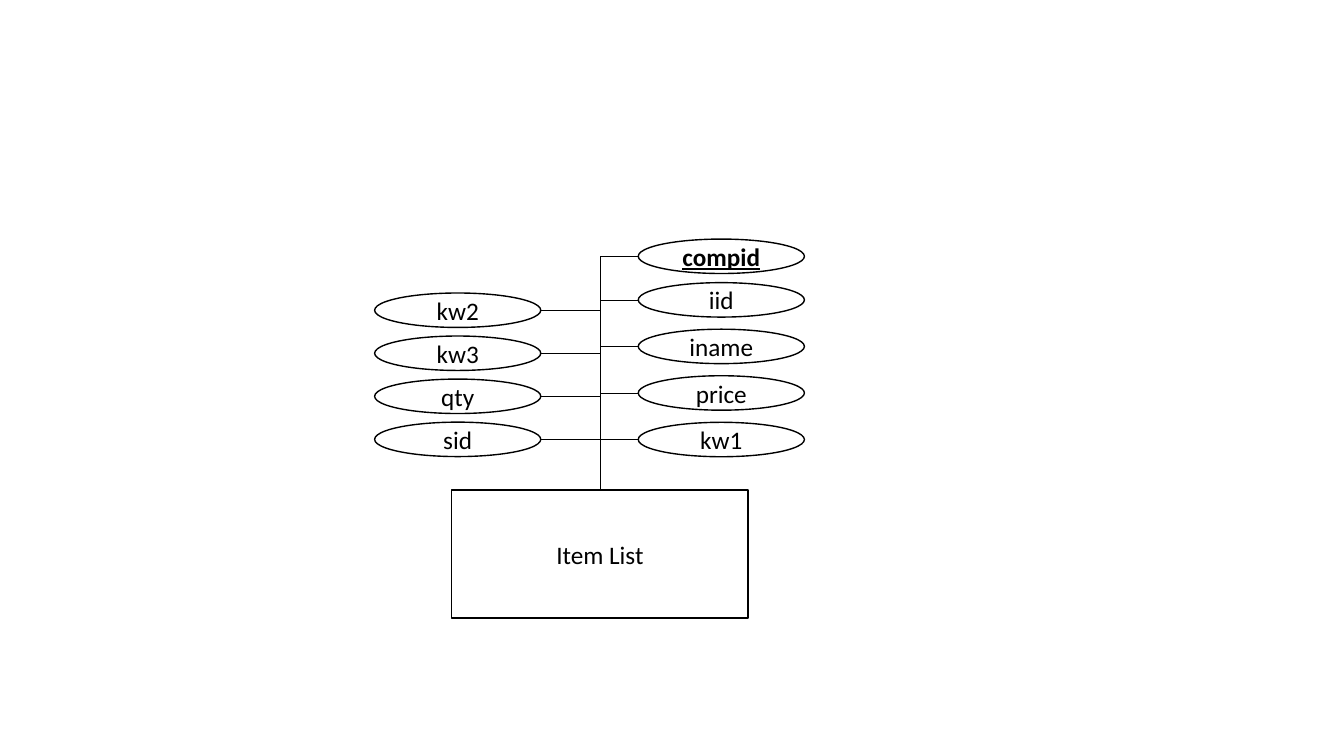
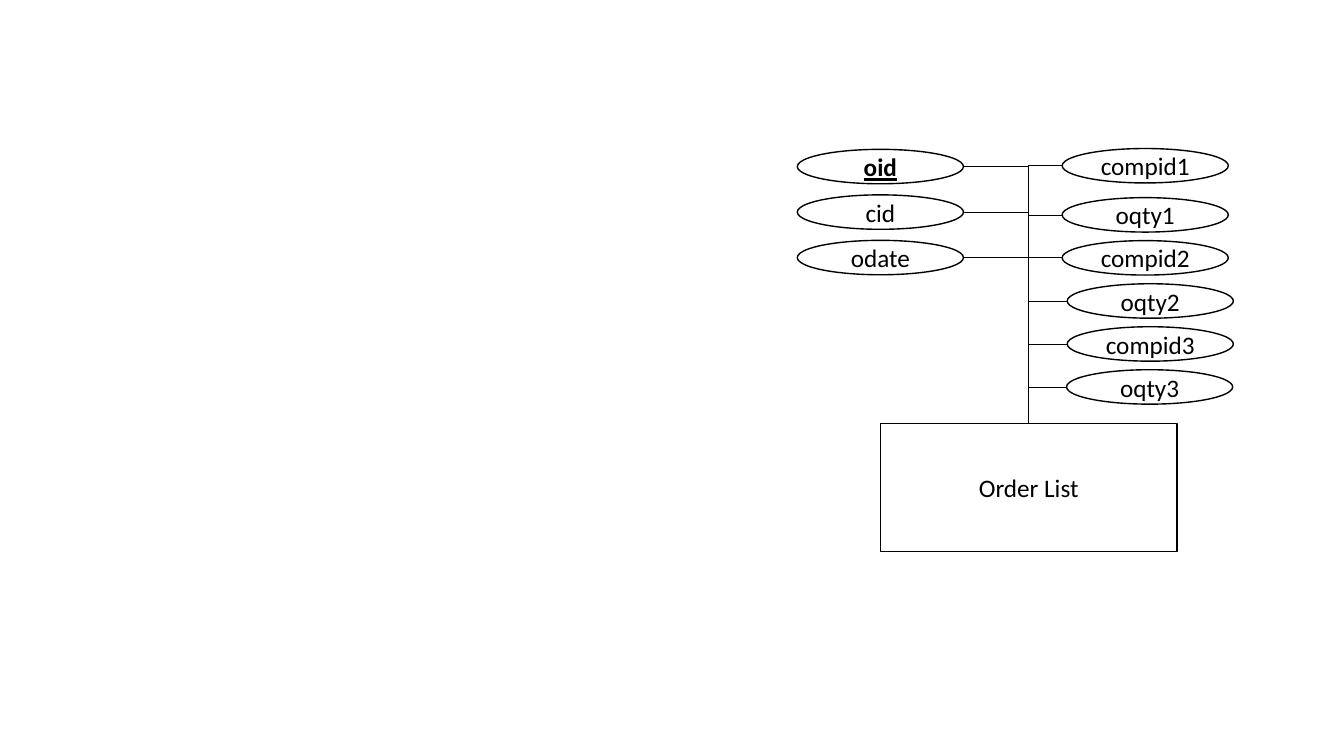
import pptx
import pptx.util
import pptx.dml.color
import pptx.enum.shapes
import pptx.enum.text
import pptx.oxml.ns
import lxml.etree

Pt = pptx.util.Pt
qualified_name = pptx.oxml.ns.qn
Shapes = pptx.enum.shapes.MSO_SHAPE
BLACK = pptx.dml.color.RGBColor(0, 0, 0)

SLIDE_SIZE = (960, 540)
ENTITY_SIZE = (211.7, 91.4)
ATTRIBUTE_SIZE = (118.7, 24.6)
OUTLINE_WIDTH = 1
CONNECTOR_WIDTH = 0.5
ELLIPSE_LEFT_SITE, ELLIPSE_RIGHT_SITE, ENTITY_TOP_SITE = 2, 6, 0
TEXT_FORMAT = {"name": "Calibri", "size": Pt(18)}
KEY_FORMAT = {"bold": True, "underline": True}

DIAGRAMS = [
    {
        "entity": ("Item List", 322.7, 350),
        "key": "compid",
        "columns": [
            {"left": 455.9, "top": 170.8, "pitch": 0, "names": ["compid"]},
            {"left": 455.9, "top": 201.9, "pitch": 33.25, "names": ["iid", "iname", "price", "kw1"]},
            {"left": 267.6, "top": 209.3, "pitch": 30.75, "names": ["kw2", "kw3", "qty", "sid"]},
        ],
    },
    {
        "entity": ("Order List", 629, 302.4),
        "key": "oid",
        "columns": [
            {"left": 569.5, "top": 106.7, "pitch": 32.5, "names": ["oid", "cid", "odate"]},
            {"left": 758.7, "top": 106.1, "pitch": 0, "names": ["compid1"]},
            {"left": 758.7, "top": 141.2, "pitch": 30.7, "names": ["oqty1", "compid2"]},
            {"left": 762.3, "top": 202.7, "pitch": 30.7, "names": ["oqty2", "compid3"]},
            {"left": 761.8, "top": 264.1, "pitch": 0, "names": ["oqty3"]},
        ],
    },
]


def add_node(slide, kind, text, position, size, font_format):
    shape = slide.shapes.add_shape(kind, *map(Pt, position + size))
    shape.shadow.inherit = False
    shape.fill.background()
    shape.line.color.rgb = BLACK
    shape.line.width = Pt(OUTLINE_WIDTH)
    shape.text_frame.vertical_anchor = pptx.enum.text.MSO_ANCHOR.MIDDLE
    paragraph = shape.text_frame.paragraphs[0]
    paragraph.alignment = pptx.enum.text.PP_ALIGN.CENTER
    run = paragraph.add_run()
    run.text = text
    run.font.color.rgb = BLACK
    for attribute, value in font_format.items():
        setattr(run.font, attribute, value)
    return shape


def connect(slide, attribute, entity):
    center = entity.left + entity.width // 2
    is_right = attribute.left > center
    start_x = attribute.left if is_right else attribute.left + attribute.width
    start_y = attribute.top + attribute.height // 2
    connector = slide.shapes.add_connector(
        pptx.enum.shapes.MSO_CONNECTOR.ELBOW, start_x, start_y, center, entity.top
    )
    connector.end_connect(entity, ENTITY_TOP_SITE)
    connector.line.color.rgb = BLACK
    connector.line.width = Pt(CONNECTOR_WIDTH)
    element = connector.element
    element.find(".//" + qualified_name("a:prstGeom")).set("prst", "bentConnector2")
    start = lxml.etree.Element(qualified_name("a:stCxn"))
    start.set("id", str(attribute.shape_id))
    start.set("idx", str(ELLIPSE_LEFT_SITE if is_right else ELLIPSE_RIGHT_SITE))
    element.find(".//" + qualified_name("p:cNvCxnSpPr")).insert(0, start)
    lxml.etree.SubElement(
        element.find(qualified_name("p:spPr")), qualified_name("a:effectLst")
    )


def add_diagram(slide, diagram):
    name, left, top = diagram["entity"]
    entity = add_node(slide, Shapes.RECTANGLE, name, (left, top), ENTITY_SIZE, TEXT_FORMAT)
    for column in diagram["columns"]:
        for row, text in enumerate(column["names"]):
            position = (column["left"], column["top"] + row * column["pitch"])
            font_format = TEXT_FORMAT | (KEY_FORMAT if text == diagram["key"] else {})
            attribute = add_node(
                slide, Shapes.OVAL, text, position, ATTRIBUTE_SIZE, font_format
            )
            connect(slide, attribute, entity)


presentation = pptx.Presentation()
presentation.slide_width, presentation.slide_height = map(Pt, SLIDE_SIZE)
blank_layout = presentation.slide_layouts[6]
for diagram in DIAGRAMS:
    add_diagram(presentation.slides.add_slide(blank_layout), diagram)
presentation.save("out.pptx")
